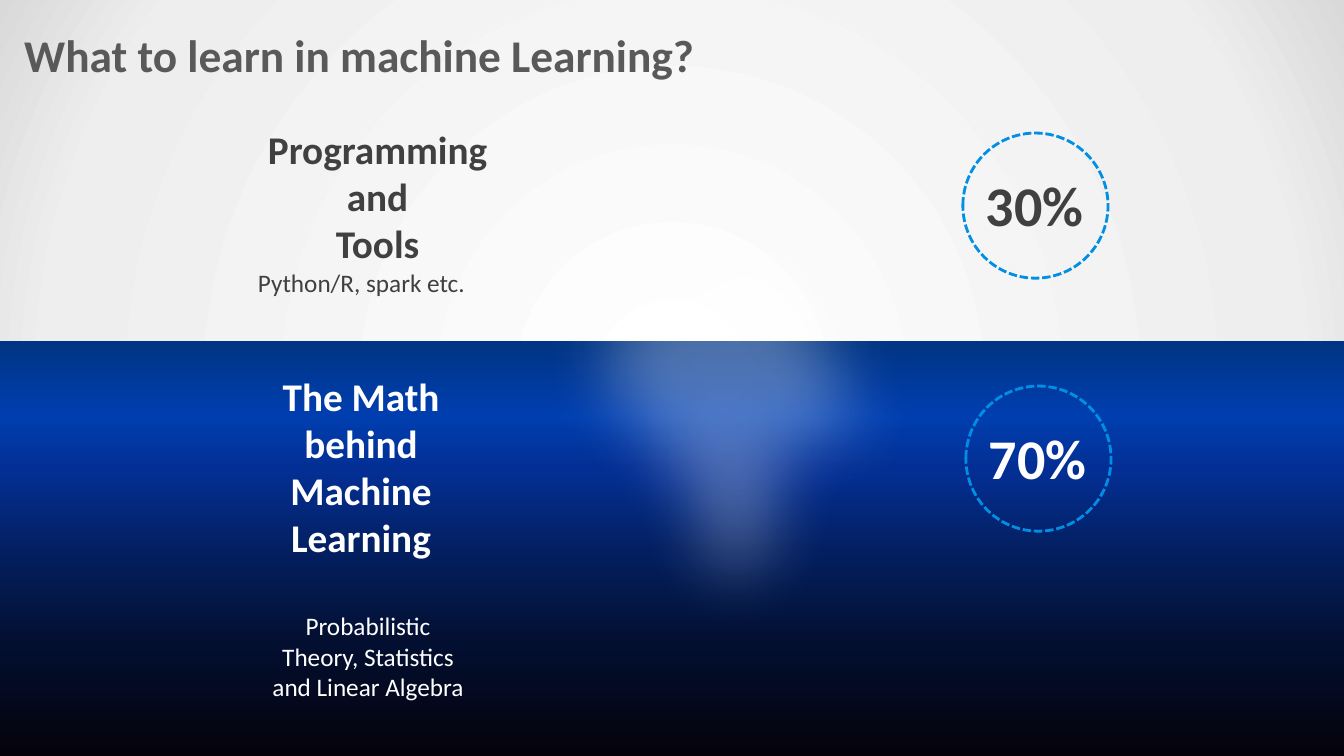
import pptx
import pptx.util
import pptx.dml.color
import pptx.enum.dml
import pptx.enum.shapes
import pptx.enum.text
import pptx.oxml.ns
from lxml import etree
from pptx.util import Inches

COLORS = {"white": "FFFFFF", "title": "595959", "dark": "404040", "ring": "008FE5"}
BACKDROP_STOPS = [(0, "FFFFFF"), (81, "EEEEEE"), (100, "D9D9D9")]
SEA_STOPS = [(0, "05020B"), (27, "030F30"), (49, "031F60"),
             (69, "032F94"), (82, "003EAF"), (99, "003586")]
ICEBERG = [
    (0.07, 1.64), (0.16, 1.62), (0.28, 1.49), (0.35, 1.31), (0.45, 1.09),
    (0.54, 1.02), (0.73, 0.95), (1.0, 0.83), (1.18, 0.76), (1.3, 0.69),
    (1.43, 0.54), (1.52, 0.43), (1.62, 0.23), (1.68, 0.19), (1.83, 0.21),
    (1.87, 0.4), (1.95, 0.38), (2.11, 0.26), (2.24, 0.09), (2.31, 0),
    (2.49, 0.02), (2.62, 0.16), (2.78, 0.25), (3, 0.3), (3.07, 0.37),
    (3.21, 0.43), (3.33, 0.64), (3.42, 0.81), (3.56, 0.95), (3.61, 1.11),
    (3.8, 1.37), (3.87, 1.66), (3.99, 1.93), (4.09, 2.16), (4.16, 2.59),
    (4.14, 3.18), (4.11, 3.38), (4.09, 3.7), (3.97, 3.78), (3.64, 3.76),
    (3.56, 3.68), (3.47, 3.69), (3.4, 3.99), (3.28, 4.21), (3.24, 4.67),
    (3.14, 4.87), (3.06, 5.02), (2.9, 5.11), (2.69, 5.18), (2.57, 5.34),
    (2.49, 5.33), (2.4, 5.25), (1.8, 5.23), (1.56, 5.18), (1.47, 5.02),
    (1.33, 4.92), (1.24, 4.75), (1.23, 4.49), (1.14, 4.28), (1.07, 4.12),
    (0.93, 3.98), (0.71, 3.73), (0.64, 3.45), (0.42, 3.42), (0.31, 3.38),
    (0.24, 3.19), (0.26, 2.83), (0.31, 2.64), (0.3, 2.25), (0.16, 2.1),
    (0.06, 1.99), (0, 1.83),
]

prs = pptx.Presentation()
prs.slide_width, prs.slide_height = Inches(13.33), Inches(7.5)
slide = prs.slides.add_slide(prs.slide_layouts[5])


def set_gradient(element, stops, direction):
    gradient = next(element.iter(pptx.oxml.ns.qn("a:gradFill")))
    for child in list(gradient):
        gradient.remove(child)
    stop_xml = "".join(f'<a:gs pos="{position * 1000}"><a:srgbClr val="{color}"/></a:gs>'
                       for position, color in stops)
    namespace = pptx.oxml.ns.nsdecls("a")
    for child in pptx.oxml.parse_xml(
            f"<a:gradFill {namespace}><a:gsLst>{stop_xml}</a:gsLst>{direction}</a:gradFill>"):
        gradient.append(child)


def write_text(box, lines, size, color, bold, align):
    frame = box.text_frame
    frame.word_wrap = True
    frame.text = "\n".join(lines)
    for paragraph in frame.paragraphs:
        paragraph.alignment = align
        paragraph.font.name = "Calibri"
        paragraph.font.size = pptx.util.Pt(size)
        paragraph.font.bold = bold
        paragraph.font.color.rgb = pptx.dml.color.RGBColor.from_string(COLORS[color])
    return frame


slide.background.fill.gradient()
set_gradient(slide.element, BACKDROP_STOPS,
             '<a:path path="circle"><a:fillToRect l="50000" t="50000" r="50000" b="50000"/></a:path>')

title = slide.shapes.title
title.left, title.top, title.width, title.height = Inches(0.24), Inches(0.19), Inches(9), Inches(0.7)
title_frame = write_text(title, ["What to learn in machine Learning?"], 32.4, "title", True,
                         pptx.enum.text.PP_ALIGN.LEFT)
title_frame.auto_size = pptx.enum.text.MSO_AUTO_SIZE.NONE
title_frame.vertical_anchor = pptx.enum.text.MSO_ANCHOR.MIDDLE
title_frame.margin_left = title_frame.margin_right = 0
title_frame.margin_top = title_frame.margin_bottom = Inches(0.07)

icebergs = []
for left, top in [(5.08, 1.52), (5.06, 1.32)]:
    outline = [(Inches(left + x), Inches(top + y)) for x, y in ICEBERG]
    builder = slide.shapes.build_freeform(*outline[0])
    builder.add_line_segments(outline[1:], close=True)
    iceberg = builder.convert_to_shape()
    iceberg.fill.solid()
    iceberg.fill.fore_color.rgb = pptx.dml.color.RGBColor.from_string(COLORS["white"])
    iceberg.line.fill.background()
    iceberg.shadow.inherit = False
    effects = next(iceberg.element.iter(pptx.oxml.ns.qn("a:effectLst")))
    etree.SubElement(effects, pptx.oxml.ns.qn("a:softEdge"), rad="635000")
    icebergs.append(iceberg)

front_color = next(icebergs[1].element.iter(pptx.oxml.ns.qn("a:srgbClr")))
etree.SubElement(front_color, pptx.oxml.ns.qn("a:alpha"), val="30000")

sea = slide.shapes.add_shape(pptx.enum.shapes.MSO_SHAPE.RECTANGLE,
                             0, Inches(3.38), prs.slide_width, Inches(4.12))
sea.shadow.inherit = False
sea.line.fill.background()
sea.fill.gradient()
set_gradient(sea.element, SEA_STOPS, '<a:lin ang="16200000" scaled="0"/>')
icebergs[1].element.addprevious(sea.element)

for lines, left, top, width, height, size, color, bold in [
    (["The Math behind", "Machine Learning"], 2.52, 3.64, 2.12, 1.99, 28, "white", True),
    (["Probabilistic Theory, Statistics and Linear Algebra"], 2.59, 6.01, 2.12, 1.01, 18, "white", False),
    (["Programming and", "Tools"], 2.33, 1.19, 2.83, 1.51, 28, "dark", True),
    (["Python/R, spark etc."], 2.27, 2.6, 2.63, 0.4, 18, "dark", False),
]:
    topic = slide.shapes.add_textbox(Inches(left), Inches(top), Inches(width), Inches(height))
    topic_frame = write_text(topic, lines, size, color, bold, pptx.enum.text.PP_ALIGN.CENTER)
    topic_frame.auto_size = pptx.enum.text.MSO_AUTO_SIZE.SHAPE_TO_FIT_TEXT

for share, left, top, color in [("70%", 9.58, 3.83, "white"), ("30%", 9.55, 1.32, "dark")]:
    badge = slide.shapes.add_group_shape()
    ring = badge.shapes.add_shape(pptx.enum.shapes.MSO_SHAPE.OVAL,
                                  Inches(left), Inches(top), Inches(1.44), Inches(1.44))
    ring.shadow.inherit = False
    ring.fill.background()
    ring.line.color.rgb = pptx.dml.color.RGBColor.from_string(COLORS["ring"])
    ring.line.width = pptx.util.Pt(2)
    ring.line.dash_style = pptx.enum.dml.MSO_LINE.SQUARE_DOT
    percent = badge.shapes.add_textbox(Inches(left - 0.08), Inches(top + 0.32),
                                       Inches(1.58), Inches(0.77))
    percent_frame = write_text(percent, [share], 40, color, True, pptx.enum.text.PP_ALIGN.CENTER)
    percent_frame.auto_size = pptx.enum.text.MSO_AUTO_SIZE.SHAPE_TO_FIT_TEXT
    percent_frame.vertical_anchor = pptx.enum.text.MSO_ANCHOR.MIDDLE

prs.save("out.pptx")
